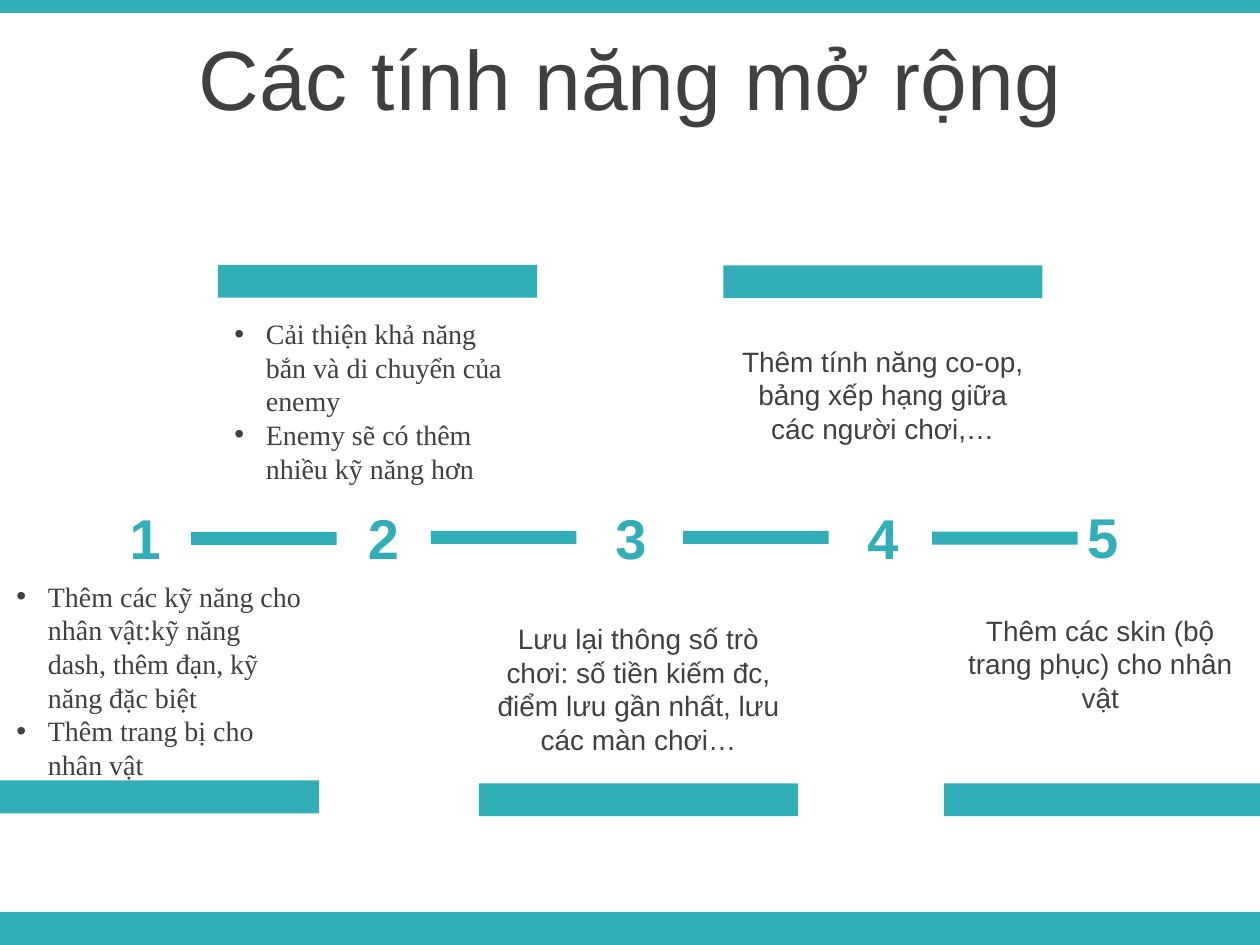
from dataclasses import dataclass

from lxml import etree
from pptx import Presentation
from pptx.dml.color import RGBColor
from pptx.enum.shapes import MSO_SHAPE
from pptx.enum.text import MSO_ANCHOR, PP_ALIGN
from pptx.oxml.ns import qn
from pptx.util import Pt

RECT = MSO_SHAPE.RECTANGLE
LEFT, CENTER = PP_ALIGN.LEFT, PP_ALIGN.CENTER
TOP, MIDDLE = MSO_ANCHOR.TOP, MSO_ANCHOR.MIDDLE


@dataclass(frozen=True)
class Theme:
    accent: RGBColor = RGBColor(0x32, 0xAE, 0xB8)
    ink: RGBColor = RGBColor(0x40, 0x40, 0x40)
    sans: str = "Arial"
    serif: str = "Times New Roman"
    title: int = 36
    number: int = 24
    body: int = 12
    indent: float = 13.5


THEME = Theme()
W, H = 540, 405
CARD_W, CARD_BAR_H = 136.8, 14.1
NUMBER_W, NUMBER_H = 72.7, 36
DASH_W, DASH_H = 62.4, 5.6


def add_text(p, text, *, size, color, font, bold=False, align=LEFT):
    p.alignment = align
    r = p.add_run()
    r.text = text
    r.font.size = Pt(size)
    r.font.name = font
    r.font.bold = bold
    r.font.color.rgb = color


def add_bullet(p, indent):
    pPr = p._p.get_or_add_pPr()
    pPr.set("marL", str(Pt(indent)))
    pPr.set("indent", str(-Pt(indent)))
    etree.SubElement(pPr, qn("a:buFont")).set("typeface", THEME.sans)
    etree.SubElement(pPr, qn("a:buChar")).set("char", "•")


class Deck:
    def __init__(self, theme):
        self.theme = theme
        self.prs = Presentation()
        self.prs.slide_width, self.prs.slide_height = Pt(W), Pt(H)
        self.s = self.prs.slides.add_slide(self.prs.slide_layouts[6])

    def bar(self, x, y, w, h):
        sp = self.s.shapes.add_shape(RECT, Pt(x), Pt(y), Pt(w), Pt(h))
        sp.shadow.inherit = False
        sp.fill.solid()
        sp.fill.fore_color.rgb = self.theme.accent
        sp.line.fill.background()

    def text(self, x, y, w, h, lines, *, bullets=False, anchor=TOP, **fmt):
        tf = self.s.shapes.add_textbox(Pt(x), Pt(y), Pt(w), Pt(h)).text_frame
        tf.word_wrap = True
        tf.vertical_anchor = anchor
        for i, line in enumerate(lines):
            p = tf.add_paragraph() if i else tf.paragraphs[0]
            add_text(p, line, **fmt)
            if bullets:
                add_bullet(p, self.theme.indent)

    def title(self, text):
        t = self.theme
        self.text(0, 10.1, W, 45.4, [text], anchor=MIDDLE, size=t.title,
                  color=t.ink, font=t.sans, align=CENTER)

    def number(self, x, y, n):
        t = self.theme
        self.text(x, y, NUMBER_W, NUMBER_H, [str(n)], size=t.number,
                  color=t.accent, font=t.sans, bold=True, align=CENTER)

    def card(self, x, text_y, text_h, bar_x, bar_y, lines, bullets=False):
        t = self.theme
        self.text(x, text_y, CARD_W, text_h, lines, bullets=bullets,
                  size=t.body, color=t.ink,
                  font=t.serif if bullets else t.sans,
                  align=LEFT if bullets else CENTER)
        self.bar(bar_x, bar_y, CARD_W, CARD_BAR_H)


# Position of each number, then of each dash between two numbers
NUMBERS = [(25.9, 212.4), (128, 212.4), (234, 212.4), (342, 212.4), (436.2, 211.8)]
DASHES = [(81.9, 228), (184.7, 227.5), (292.8, 227.5), (399.5, 227.9)]

# Text x, y, height; bar x, y; paragraphs; bulleted or not
CARDS = [
    (0, 244.8, 124, 0, 334.5,
     ["Thêm các kỹ năng cho nhân vật:kỹ năng dash, thêm đạn, kỹ năng đặc biệt",
      "Thêm trang bị cho nhân vật"], True),
    (93.4, 132.2, 80, 93.4, 113.5,
     ["Cải thiện khả năng bắn và di chuyển của enemy",
      "Enemy sẽ có thêm nhiều kỹ năng hơn"], True),
    (205.3, 262.8, 65.5, 205.3, 335.7,
     ["Lưu lại thông số trò chơi: số tiền kiếm đc, điểm lưu gần nhất, "
      "lưu các màn chơi…"]),
    (403.2, 259.2, 51, 404.6, 335.7,
     ["Thêm các skin (bộ trang phục) cho nhân vật"]),
    (310, 144, 51, 310, 113.7,
     ["Thêm tính năng co-op, bảng xếp hạng giữa các người chơi,…"]),
]


def main():
    deck = Deck(THEME)

    # Page bands and title
    deck.bar(0, 390.9, W, 14.1)
    deck.bar(0, 0, W, 5.6)
    deck.title("Các tính năng mở rộng")

    # Timeline
    for n, (x, y) in enumerate(NUMBERS, 1):
        deck.number(x, y, n)
    for x, y in DASHES:
        deck.bar(x, y, DASH_W, DASH_H)

    # Feature cards
    for card in CARDS:
        deck.card(*card)

    deck.prs.save("out.pptx")


if __name__ == "__main__":
    main()
